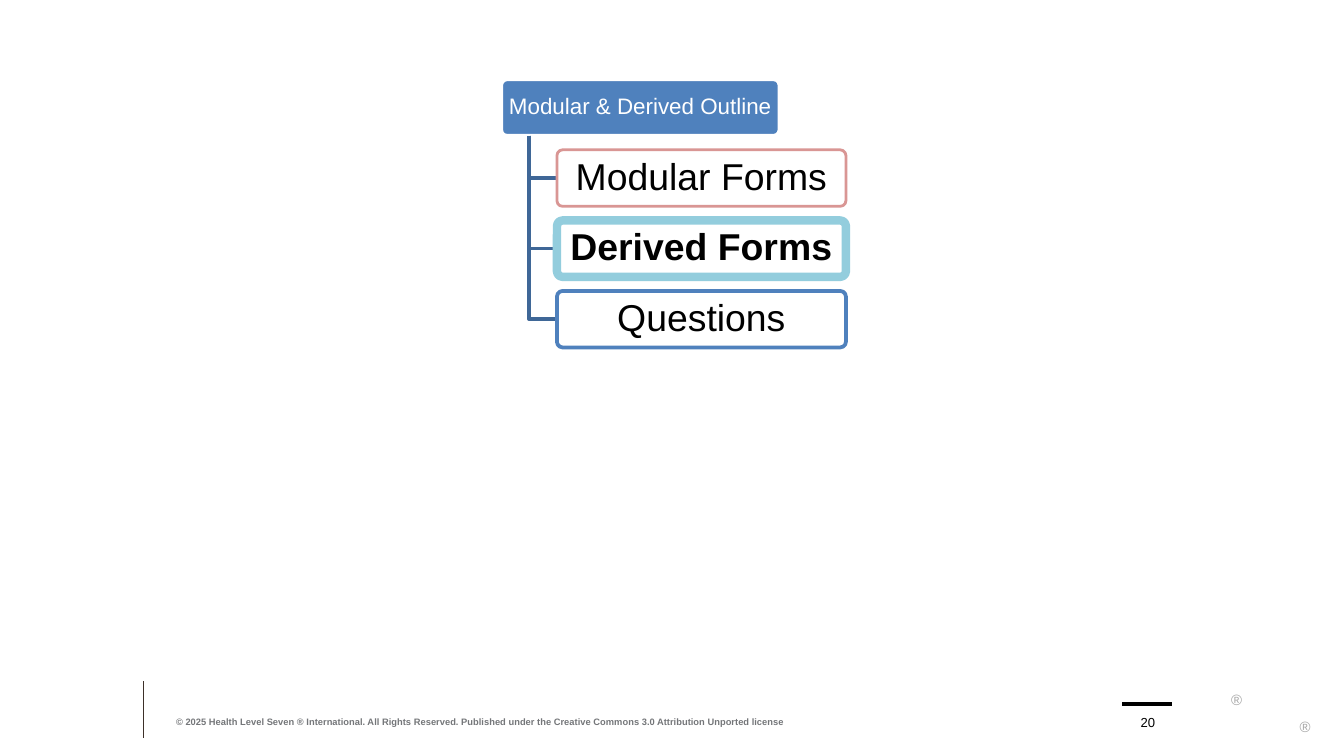
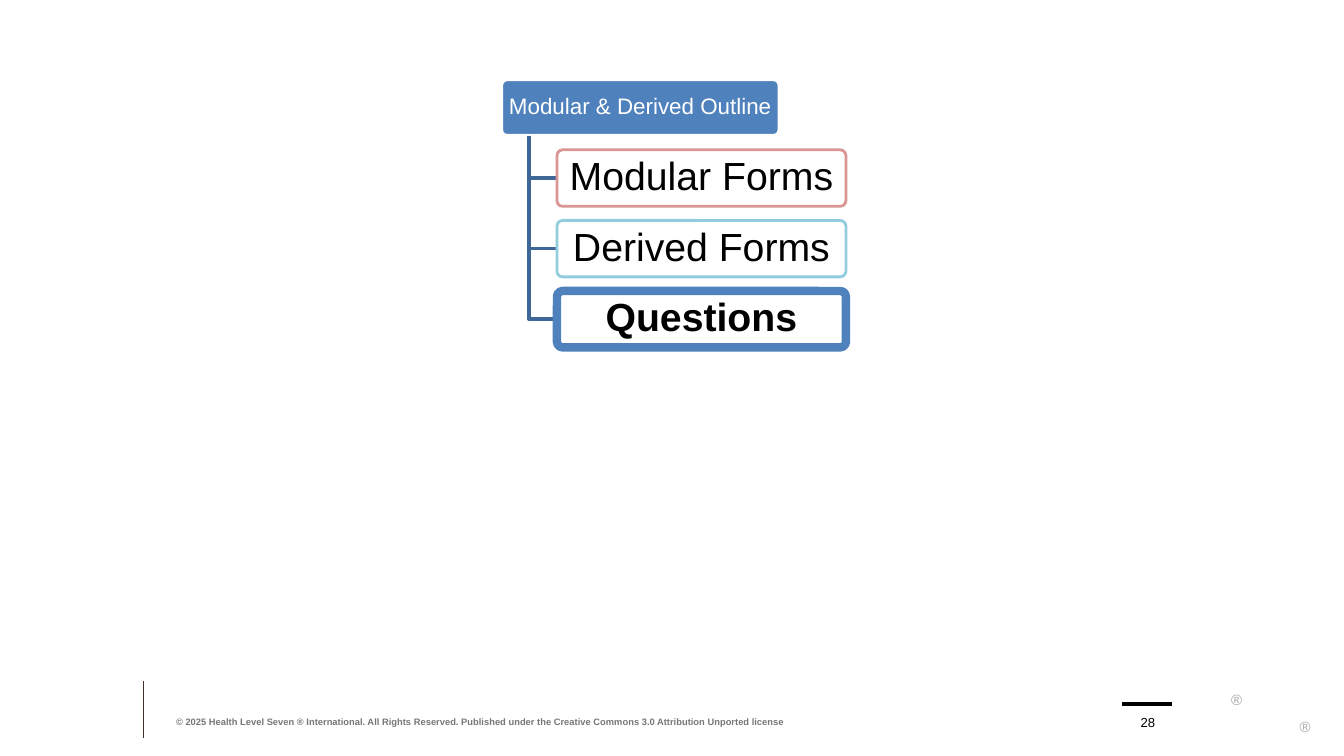
from dataclasses import dataclass

from lxml import etree
from pptx import Presentation
from pptx.dml.color import RGBColor
from pptx.enum.shapes import MSO_CONNECTOR, MSO_SHAPE
from pptx.enum.text import MSO_ANCHOR, MSO_AUTO_SIZE, PP_ALIGN
from pptx.oxml.ns import qn
from pptx.util import Inches, Pt

ROUNDED = MSO_SHAPE.ROUNDED_RECTANGLE
STRAIGHT = MSO_CONNECTOR.STRAIGHT
MIDDLE, BOTTOM, TOP = MSO_ANCHOR.MIDDLE, MSO_ANCHOR.BOTTOM, MSO_ANCHOR.TOP
LEFT, CENTER = PP_ALIGN.LEFT, PP_ALIGN.CENTER
GROW = MSO_AUTO_SIZE.SHAPE_TO_FIT_TEXT

CELL = Inches(0.1)
COLUMNS, ROWS = 100, 56.25
FONT = "Arial"
COLORS = {
    "white": "FFFFFF",
    "black": "000000",
    "root": "4F81BD",
    "branch": "3F6797",
    "modular": "D99694",
    "derived": "93CDDD",
    "questions": "4F81BD",
    "margin": "3D3029",
    "copyright": "747679",
    "mark": "A6A6A6",
}
COPYRIGHT = ("© 2025 Health Level Seven ® International. All Rights Reserved. "
             "Published under the Creative Commons 3.0 Attribution Unported license")
TOPICS = [
    ("Modular Forms", "modular", 1.5),
    ("Derived Forms", "derived", 1.5),
    ("Questions", "questions", 2),
]
CURRENT_WEIGHT = 4.5


@dataclass
class Box:
    """A region measured in grid cells."""
    left: float
    top: float
    width: float
    height: float

    def emu(self):
        """Return left, top, width and height as slide lengths."""
        return [cells(n) for n in (self.left, self.top, self.width, self.height)]

    def inner(self, x, y, width, height):
        """Return a box placed from this one's top left corner."""
        return Box(self.left + x, self.top + y, width, height)


OUTLINE = Box(37.3, 5.9, 25.7, 20)
FOOTER = Box(10.7, 50.7, 87, 4.2)


def cells(count):
    """Convert grid cells to a slide length."""
    return round(count * CELL)


def rgb(name):
    """Look up a colour by its role."""
    return RGBColor.from_string(COLORS[name])


def write(shape, text, size, color, align=LEFT, anchor=BOTTOM, bold=False, insets=(0, 0)):
    """Put one formatted paragraph into a shape."""
    frame = shape.text_frame
    frame.word_wrap = True
    frame.vertical_anchor = anchor
    frame.margin_left = frame.margin_right = Inches(insets[0])
    frame.margin_top = frame.margin_bottom = Inches(insets[1])
    frame.text = text
    paragraph = frame.paragraphs[0]
    paragraph.alignment = align
    font = paragraph.runs[0].font
    font.name, font.size, font.bold = FONT, Pt(size), bold
    font.color.rgb = rgb(color)
    return paragraph


def stroke(shape, color, weight):
    """Set the colour and weight of a line."""
    shape.line.color.rgb = rgb(color)
    shape.line.width = Pt(weight)


def add_rule(slide, box, color, weight):
    """Draw a straight rule from a box's top left to its bottom right."""
    left, top, width, height = box.emu()
    rule = slide.shapes.add_connector(STRAIGHT, left, top, left + width, top + height)
    stroke(rule, color, weight)
    etree.SubElement(rule._element.spPr, qn("a:effectLst"))


def add_node(slide, box, text, size, fill, text_color, line, weight, insets, bold=False):
    """Draw one rounded outline node with its label."""
    node = slide.shapes.add_shape(ROUNDED, *box.emu())
    node.shadow.inherit = False
    node.adjustments[0] = 0.1
    node.fill.solid()
    node.fill.fore_color.rgb = rgb(fill)
    stroke(node, line, weight)
    label = write(node, text, size, text_color, CENTER, MIDDLE, bold, insets)
    label.line_spacing = 0.9
    return node


def add_branch(slide, box):
    """Draw the elbow down a box's left edge and along its bottom."""
    left, top, width, height = box.emu()
    elbow = slide.shapes.build_freeform(left, top)
    elbow.add_line_segments([(left, top + height), (left + width, top + height)], close=False)
    branch = elbow.convert_to_shape()
    branch.shadow.inherit = False
    branch.fill.background()
    stroke(branch, "branch", 2)


def add_outline(slide, box, current, topic_size):
    """Draw the outline tree with the current topic emphasised."""
    root_width, topic_width, height = 20.7, 21.5, 4.2
    pitch, indent = 1.25 * height, 0.2 * root_width
    add_node(slide, box.inner(0, 0, root_width, height), "Modular & Derived Outline", 12,
             "root", "white", "white", 2, (0.03, 0.02))
    for row, (topic, color, weight) in enumerate(TOPICS, start=1):
        is_current = topic == current
        add_branch(slide, box.inner(indent / 2, height, indent / 2, row * pitch - height / 2))
        node = add_node(slide, box.inner(indent, row * pitch, topic_width, height), topic,
                        topic_size, "white", "black", color,
                        CURRENT_WEIGHT if is_current else weight, (0.04, 0.03), is_current)
        tint = node._element.spPr.find(qn("a:solidFill"))[0]
        etree.SubElement(tint, qn("a:alpha"), val="90000")


def add_footer(slide, box, number):
    """Draw the margin rule, marks, copyright line and page number."""
    add_rule(slide, box.inner(0, 0, 0, 4.2), "margin", 0.5)
    for x, y in ((80.9, 0.3), (86, 2.3)):
        mark = slide.shapes.add_textbox(*box.inner(x, y, 1.1, 0.9).emu())
        write(mark, "®", 8, "mark", anchor=TOP, insets=(0, 0.05))
        mark.text_frame.auto_size = GROW
    add_rule(slide, box.inner(72.8, 1.7, 3.7, 0), "black", 2)
    notice = slide.shapes.add_textbox(*box.inner(2.4, 1.7, 49.5, 1.7).emu())
    write(notice, COPYRIGHT, 5, "copyright", bold=True)
    page = slide.shapes.add_textbox(*box.inner(73.2, 1.7, 3, 1.9).emu())
    write(page, number, 7, "black", CENTER)


def add_outline_slide(deck, current, topic_size, number):
    """Add a slide that marks the current topic in the outline."""
    slide = deck.slides.add_slide(deck.slide_layouts[6])
    add_footer(slide, FOOTER, number)
    add_outline(slide, OUTLINE, current, topic_size)


def main():
    """Build and save the deck."""
    deck = Presentation()
    deck.slide_width, deck.slide_height = cells(COLUMNS), cells(ROWS)
    add_outline_slide(deck, "Derived Forms", 20, "20")
    add_outline_slide(deck, "Questions", 21, "28")
    deck.save("out.pptx")


if __name__ == "__main__":
    main()
